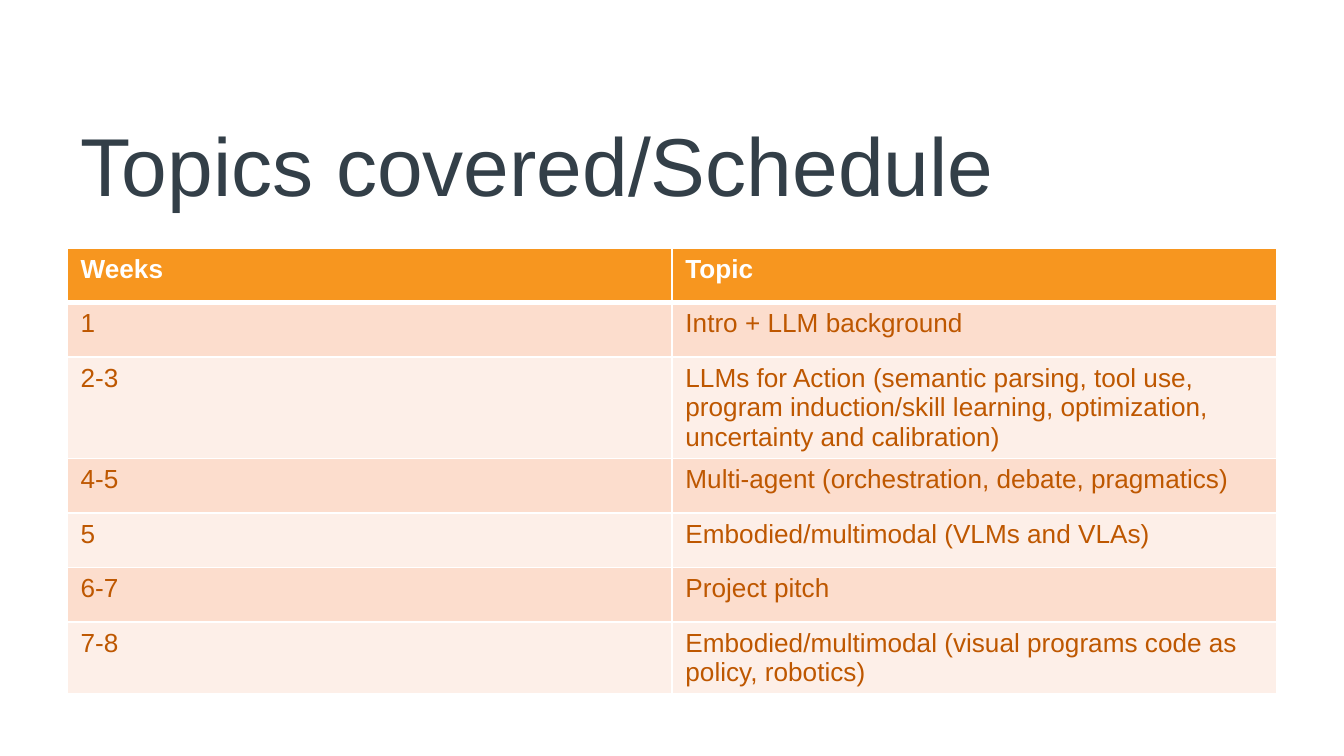
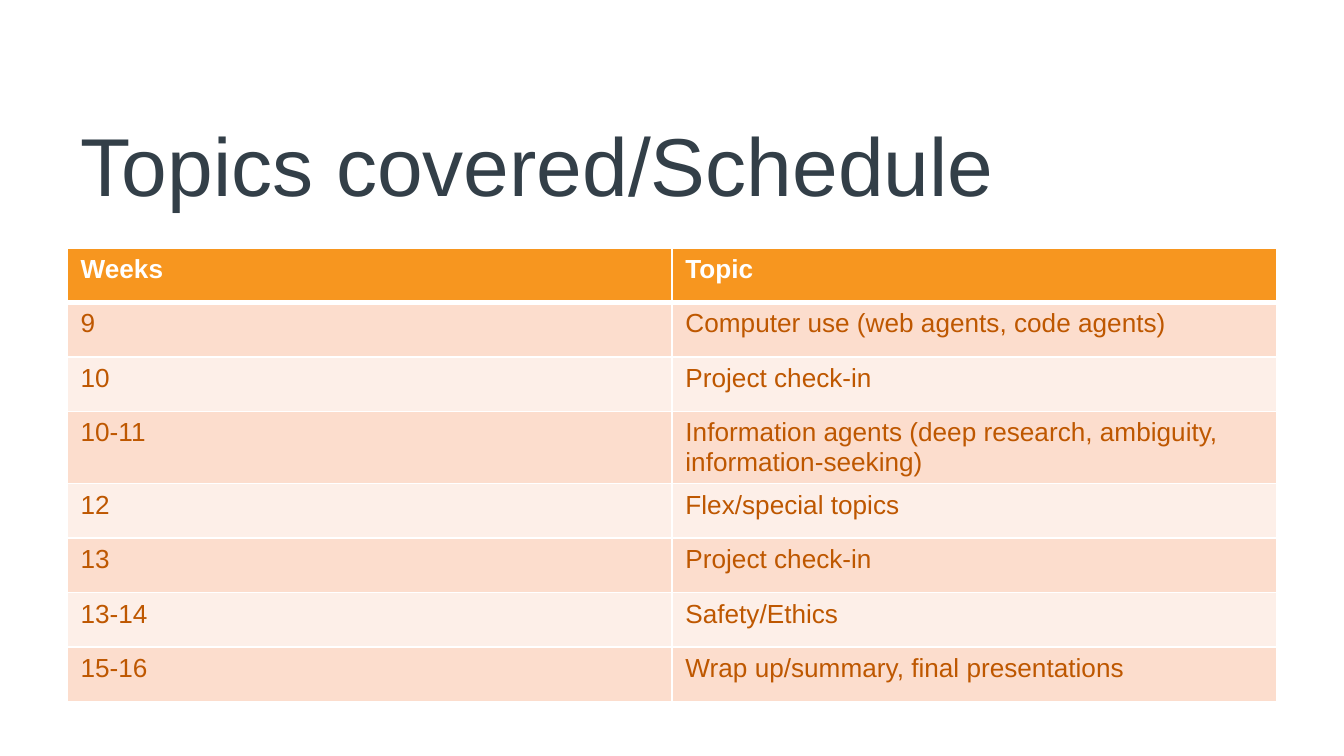
from lxml.etree import SubElement
from pptx import Presentation
from pptx.dml.color import RGBColor
from pptx.enum.text import MSO_ANCHOR, MSO_AUTO_SIZE, PP_ALIGN
from pptx.oxml.ns import qn
from pptx.util import Pt

# Content
TITLE = "Topics covered/Schedule"
HEADER = ("Weeks", "Topic")
SCHEDULES = [
    [
        ("1", "Intro + LLM background"),
        ("2-3", "LLMs for Action (semantic parsing, tool use, program "
                "induction/skill learning, optimization, uncertainty and calibration)"),
        ("4-5", "Multi-agent (orchestration, debate, pragmatics)"),
        ("5", "Embodied/multimodal (VLMs and VLAs)"),
        ("6-7", "Project pitch"),
        ("7-8", "Embodied/multimodal (visual programs code as policy, robotics)"),
    ],
    [
        ("9", "Computer use (web agents, code agents)"),
        ("10", "Project check-in"),
        ("10-11", "Information agents (deep research, ambiguity, information-seeking)"),
        ("12", "Flex/special topics"),
        ("13", "Project check-in"),
        ("13-14", "Safety/Ethics"),
        ("15-16", "Wrap up/summary, final presentations"),
    ],
]

# Shared style
FONT = "Arial"
SLATE, ORANGE, RUST, WHITE = "333F48", "F7961F", "BE5700", "FFFFFF"
BANDS = ("FCDDCD", "FDEFE8")
LEFT, WIDTH = 36, 648
TITLE_TOP, TITLE_HEIGHT = 54, 67.5
TABLE_TOP, ROW_HEIGHT = 132.8, 29.2


def rgb(color):
    return RGBColor.from_string(color)


def add_text(tf, text, size, color, bold=False):
    p = tf.paragraphs[0]
    p.alignment = PP_ALIGN.LEFT
    r = p.add_run()
    r.text = text
    r.font.name, r.font.size, r.font.bold = FONT, Pt(size), bold
    r.font.color.rgb = rgb(color)


def add_borders(cell, top, bottom):
    tc_pr = cell._tc.get_or_add_tcPr()
    for side, width in (("L", 1), ("R", 1), ("T", top), ("B", bottom)):
        ln = SubElement(tc_pr, qn(f"a:ln{side}"), w=str(Pt(width)))
        SubElement(SubElement(ln, qn("a:solidFill")), qn("a:srgbClr"), val=WHITE)


def add_title(s):
    sp = s.shapes.title
    sp.left, sp.top = Pt(LEFT), Pt(TITLE_TOP)
    sp.width, sp.height = Pt(WIDTH), Pt(TITLE_HEIGHT)
    tf = sp.text_frame
    tf.auto_size = MSO_AUTO_SIZE.NONE
    tf.word_wrap = True
    tf.vertical_anchor = MSO_ANCHOR.MIDDLE
    add_text(tf, TITLE, 44, SLATE)


def add_schedule(s, topics):
    rows = [HEADER, *topics]
    table = s.shapes.add_table(len(rows), len(HEADER), Pt(LEFT), Pt(TABLE_TOP),
                               Pt(WIDTH), Pt(ROW_HEIGHT * len(rows))).table
    for i, row in enumerate(rows):
        header = i == 0
        table.rows[i].height = Pt(ROW_HEIGHT)
        for j, text in enumerate(row):
            cell = table.cell(i, j)
            # A thick rule separates the header from the first band
            add_borders(cell, top=3 if i == 1 else 1, bottom=3 if header else 1)
            cell.fill.solid()
            cell.fill.fore_color.rgb = rgb(ORANGE if header else BANDS[(i - 1) % 2])
            add_text(cell.text_frame, text, 14, WHITE if header else RUST, header)


def main():
    prs = Presentation()
    prs.slide_width, prs.slide_height = Pt(720), Pt(405)
    for topics in SCHEDULES:
        s = prs.slides.add_slide(prs.slide_layouts[5])
        add_title(s)
        add_schedule(s, topics)
    prs.save("out.pptx")


if __name__ == "__main__":
    main()
